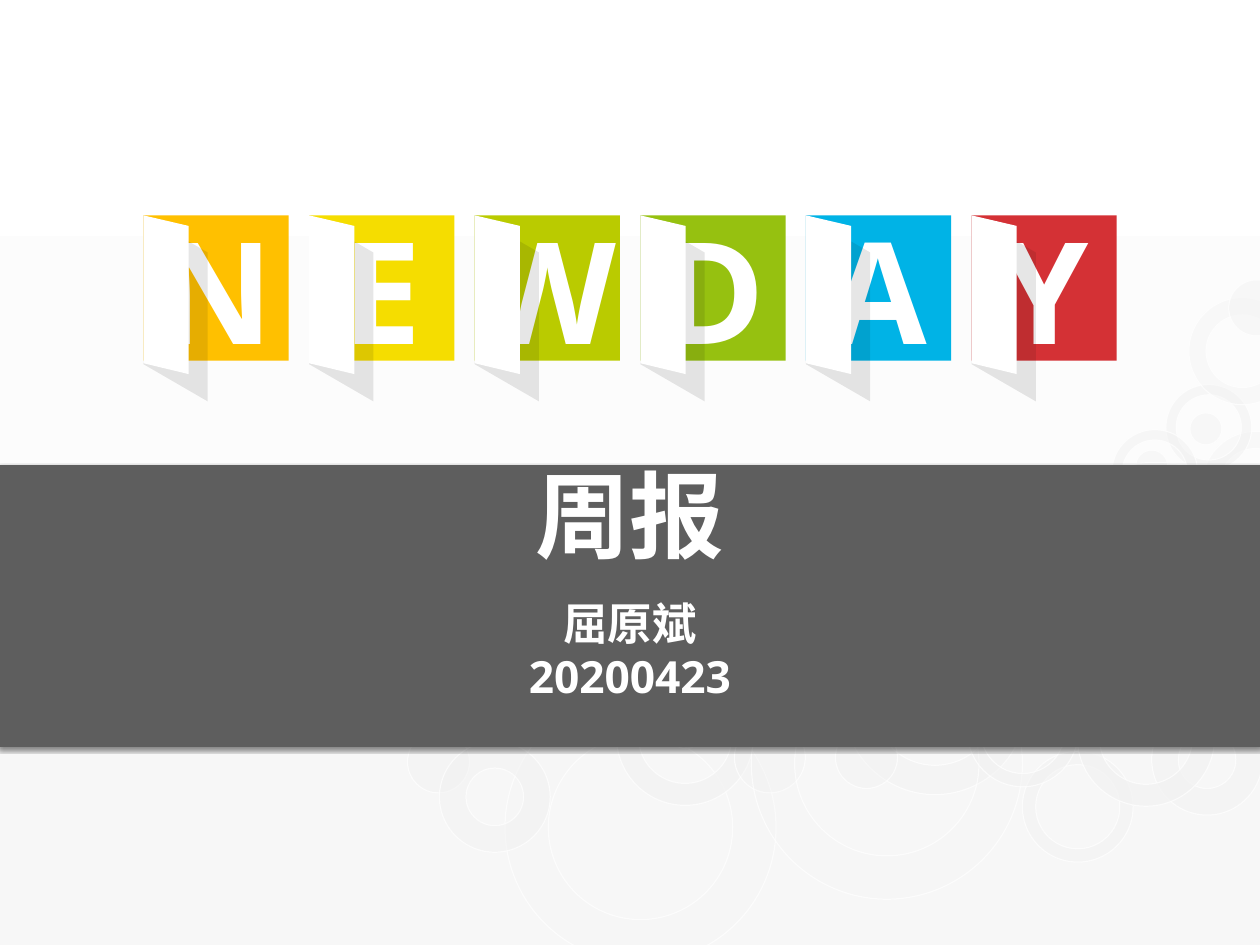
from dataclasses import dataclass
from typing import NamedTuple

from lxml import etree
from pptx import Presentation
from pptx.dml.color import RGBColor
from pptx.enum.shapes import MSO_SHAPE
from pptx.enum.text import MSO_ANCHOR, MSO_AUTO_SIZE, PP_ALIGN
from pptx.oxml.ns import qn
from pptx.util import Pt


@dataclass(frozen=True)
class Theme:
    font: str = "Open Sans"
    white: str = "FFFFFF"
    backdrop_end: str = "F7F7F7"
    circle: str = "F2F2F2"
    band: str = "5E5E5E"
    door_shadow: str = "0D0D0D"
    band_shadow: str = "000000"
    title_size: float = 77
    subtitle_size: float = 36
    letter_size: float = 115


class Circle(NamedTuple):
    left: float
    top: float
    size: float
    opacity: int
    thickness: float = 0


class Tile(NamedTuple):
    letter: str
    color: str


class Box(NamedTuple):
    left: float
    top: float
    width: float
    height: float

    def lengths(self) -> tuple:
        return tuple(Pt(value) for value in self)


THEME = Theme()
CIRCLES = [
    Circle(977, 350.6, 87, 31, 0.16),
    Circle(410.4, 562.3, 220.3, 13, 0.16),
    Circle(830.9, 610.6, 90, 54, 0.12),
    Circle(947.5, 312.5, 69.8, 54, 0.12),
    Circle(923, 365.8, 26, 47),
    Circle(685.4, 496.8, 149, 42, 0.16),
    Circle(501, 542.9, 111.6, 75, 0.16),
    Circle(596.9, 586.8, 57.6, 39),
    Circle(610.6, 510.5, 220.3, 13, 0.16),
    Circle(786.2, 549.4, 90, 54, 0.12),
    Circle(936, 572.4, 90, 54, 0.24),
    Circle(331.2, 594, 50.4, 47),
    Circle(544.3, 582.5, 26, 47),
    Circle(875.5, 543.6, 111.6, 75, 0.16),
    Circle(966.2, 241.9, 87, 31, 0.16),
    Circle(998.6, 227.5, 45.4, 47),
    Circle(829.4, 375.8, 220.3, 13, 0.16),
    Circle(903.6, 349.2, 69.8, 54, 0.12),
    Circle(357.1, 602.6, 90, 54, 0.24),
    Circle(967, 335.5, 26, 47),
    Circle(679, 590.4, 50.4, 47),
]
TILES = [
    Tile("N", "FFC000"), Tile("E", "F5DD00"), Tile("W", "BACB00"),
    Tile("D", "96C110"), Tile("A", "00B3E6"), Tile("Y", "D43135"),
]
TILE_LEFT, TILE_TOP, TILE_SIZE, TILE_PITCH = 116.6, 175, 118, 134.6
LETTER_HEIGHT = 166
DOOR_SHADOW = [(0, 0), (52.2, 30.2), (52.2, 151.2), (0, 121)]
DOOR = [(0, 0), (36.7, 8.6), (36.7, 129), (0, 120.2)]


def set_opacity(parent, path: str, percent: int) -> None:
    color = parent.find("/".join(qn(tag) for tag in path.split("/")))
    etree.SubElement(color, qn("a:alpha"), val=str(percent * 1000))


def paint(shape, color: str, opacity: int = 100) -> None:
    shape.shadow.inherit = False
    shape.fill.solid()
    shape.fill.fore_color.rgb = RGBColor.from_string(color)
    shape.line.fill.background()
    if opacity < 100:
        set_opacity(shape._element.spPr, "a:solidFill/a:srgbClr", opacity)


def write(shape, lines: list[str], size: float, anchor=MSO_ANCHOR.TOP, spacing=None) -> None:
    frame = shape.text_frame
    frame.text = "\n".join(lines)
    frame.word_wrap = True
    frame.auto_size = MSO_AUTO_SIZE.NONE
    frame.vertical_anchor = anchor
    frame.margin_left = frame.margin_right = Pt(3.6)
    frame.margin_top = frame.margin_bottom = Pt(3.6)
    for paragraph in frame.paragraphs:
        paragraph.alignment = PP_ALIGN.CENTER
        paragraph.space_before = Pt(0)
        paragraph.line_spacing = spacing
        font = paragraph.runs[0].font
        font.name = THEME.font
        font.size = Pt(size)
        font.bold = True
        font.color.rgb = RGBColor.from_string(THEME.white)


def place(shape, box: Box) -> None:
    shape.left, shape.top, shape.width, shape.height = box.lengths()


def draw_circle(shapes, circle: Circle) -> None:
    kind = MSO_SHAPE.DONUT if circle.thickness else MSO_SHAPE.OVAL
    box = Box(circle.left, circle.top, circle.size, circle.size)
    shape = shapes.add_shape(kind, *box.lengths())
    if circle.thickness:
        shape.adjustments[0] = circle.thickness
    paint(shape, THEME.circle, circle.opacity)
    shape.line.color.rgb = RGBColor.from_string(THEME.white)
    shape.line.width = Pt(1)
    set_opacity(shape._element.spPr, "a:ln/a:solidFill/a:srgbClr", 70)


def draw_panel(shapes, left: float, corners: list, color: str, opacity: int = 100) -> None:
    points = [(Pt(left + x), Pt(TILE_TOP + y)) for x, y in corners]
    builder = shapes.build_freeform(*points[0])
    builder.add_line_segments(points[1:], close=True)
    paint(builder.convert_to_shape(), color, opacity)


def draw_tile(shapes, index: int, tile: Tile) -> None:
    left = TILE_LEFT + index * TILE_PITCH
    square = Box(left, TILE_TOP, TILE_SIZE, TILE_SIZE)
    paint(shapes.add_shape(MSO_SHAPE.RECTANGLE, *square.lengths()), tile.color)
    letter_top = TILE_TOP - (LETTER_HEIGHT - TILE_SIZE) / 2
    letter_box = Box(left, letter_top, TILE_SIZE, LETTER_HEIGHT)
    letter = shapes.add_textbox(*letter_box.lengths())
    write(letter, [tile.letter], THEME.letter_size, MSO_ANCHOR.MIDDLE)
    draw_panel(shapes, left, DOOR_SHADOW, THEME.door_shadow, 10)
    draw_panel(shapes, left, DOOR, THEME.white)


def draw_band(shapes) -> None:
    band = shapes.add_shape(MSO_SHAPE.RECTANGLE, *Box(-2, 378, 1028, 229).lengths())
    paint(band, THEME.band)
    effects = band._element.spPr.find(qn("a:effectLst"))
    shadow = etree.SubElement(
        effects, qn("a:outerShdw"), blurRad=str(Pt(3)), dist=str(Pt(2)),
        dir="5400000", algn="t", rotWithShape="0")
    etree.SubElement(shadow, qn("a:srgbClr"), val=THEME.band_shadow)
    set_opacity(shadow, "a:srgbClr", 48)


def main() -> None:
    deck = Presentation()
    deck.slide_width, deck.slide_height = Pt(1024), Pt(768)
    slide = deck.slides.add_slide(deck.slide_layouts[0])
    shapes = slide.shapes
    title, subtitle = shapes.title, slide.placeholders[1]

    backdrop = slide.background.fill
    backdrop.gradient()
    backdrop.gradient_angle = 270
    for stop, color in zip(backdrop.gradient_stops, (THEME.white, THEME.backdrop_end)):
        stop.color.rgb = RGBColor.from_string(color)

    for circle in CIRCLES:
        draw_circle(shapes, circle)
    draw_band(shapes)

    place(title, Box(294, 385, 436, 77))
    write(title, ["周报"], THEME.title_size, spacing=Pt(75))
    place(subtitle, Box(394.6, 481, 234.7, 118))
    write(subtitle, ["屈原斌", "20200423"], THEME.subtitle_size)
    for placeholder in (title, subtitle):
        shapes._spTree.append(placeholder._element)

    for index, tile in enumerate(TILES):
        draw_tile(shapes, index, tile)
    deck.save("out.pptx")


main()
